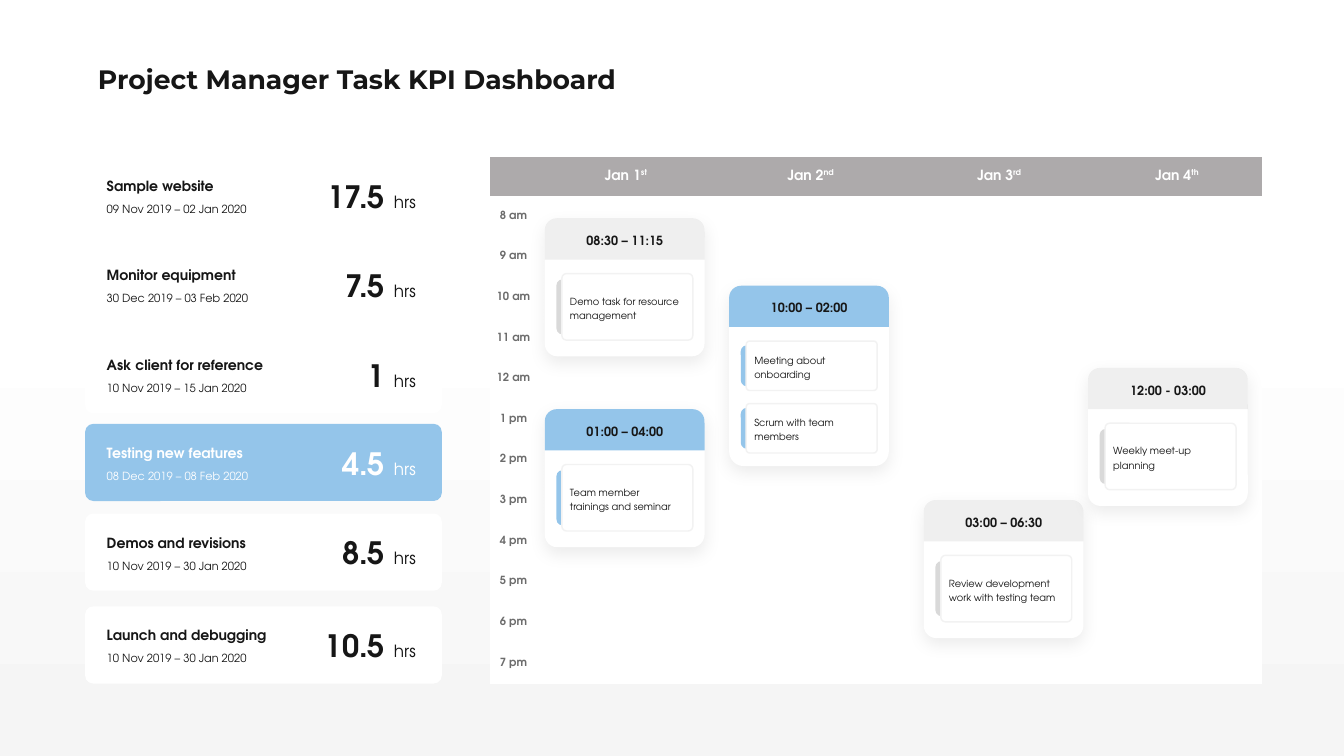
from dataclasses import dataclass

from lxml import etree
from pptx import Presentation
from pptx.dml.color import RGBColor
from pptx.enum.shapes import MSO_SHAPE
from pptx.enum.text import MSO_ANCHOR, MSO_AUTO_SIZE, PP_ALIGN
from pptx.oxml.ns import qn
from pptx.util import Cm, Pt

RECT, ROUND = MSO_SHAPE.RECTANGLE, MSO_SHAPE.ROUNDED_RECTANGLE
ROUND_TOP = MSO_SHAPE.ROUND_2_SAME_RECTANGLE
LEFT, CENTER, RIGHT = PP_ALIGN.LEFT, PP_ALIGN.CENTER, PP_ALIGN.RIGHT
TOP, MIDDLE = MSO_ANCHOR.TOP, MSO_ANCHOR.MIDDLE
GROW = MSO_AUTO_SIZE.SHAPE_TO_FIT_TEXT

FONT, TITLE_FONT = "TeX Gyre Adventor", "Montserrat"
INK, WHITE, BLUE, GREY = "161616", "FFFFFF", "94C5EA", "D9D9D9"
HEADER_GREY, HOUR_GREY, OUTLINE, SHADE = "ADAAAB", "6C6C6C", "F2F2F2", "666666"
NO_GRID_STYLE = "{2D5ABB26-0587-4C30-8999-92F81FD0307C}"

# Event card sizes by number of tasks, in cm
EVENT_H = {1: 6.96, 2: 9.09}
BOX_H = {1: 3.35, 2: 2.49}
BOX_STEP = 3.15


@dataclass
class Task:
    top: float
    name: str
    dates: str
    hours: str
    active: bool = False


@dataclass
class Event:
    left: float
    top: float
    time: str
    tasks: list[str]
    active: bool = False
    text_w: float = 6.27


TASKS = [
    Task(7.9, "Sample website", "09 Nov 2019 – 02 Jan 2020", "17.5"),
    Task(12.42, "Monitor equipment", "30 Dec 2019 – 03 Feb 2020", "7.5"),
    Task(16.94, "Ask client for reference", "10 Nov 2019 – 15 Jan 2020", "1"),
    Task(21.36, "Testing new features", "08 Dec 2019 – 08 Feb 2020", "4.5", True),
    Task(25.88, "Demos and revisions", "10 Nov 2019 – 30 Jan 2020", "8.5"),
    Task(30.56, "Launch and debugging", "10 Nov 2019 – 30 Jan 2020", "10.5"),
]
EVENTS = [
    Event(27.46, 11, "08:30 – 11:15", ["Demo task for resource management"]),
    Event(27.46, 20.62, "01:00 – 04:00", ["Team member trainings and seminar"], True, 5.64),
    Event(36.75, 14.4, "10:00 – 02:00",
          ["Meeting about onboarding", "Scrum with team members"], True),
    Event(46.56, 25.2, "03:00 – 06:30", ["Review development work with testing team"]),
    Event(54.84, 18.54, "12:00 - 03:00", ["Weekly meet-up planning"]),
]
DAYS = [("Jan 1", "st"), ("Jan 2", "nd"), ("Jan 3", "rd"), ("Jan 4", "th")]
HOURS = [f"{h} am" for h in range(8, 13)] + [f"{h} pm" for h in range(1, 8)]
COL_WIDTHS = [2.34, 8.99, 9.63, 9.37, 8.56]
HEADER_H, ROW_H = 1.96, 2.05


def rgb(color: str) -> RGBColor:
    return RGBColor.from_string(color)


def add_run(p, text: str, size: float, color: str = INK, bold: bool = False,
            font: str = FONT, raised: bool = False) -> None:
    r = p.add_run()
    r.text = text
    r.font.size, r.font.bold, r.font.name = Pt(size), bold, font
    r.font.color.rgb = rgb(color)
    if raised:
        r._r.get_or_add_rPr().set("baseline", "30000")


def add_box(shapes, kind, left: float, top: float, width: float, height: float,
            fill: str, adjust: tuple = (), line: str = ""):
    sp = shapes.add_shape(kind, Cm(left), Cm(top), Cm(width), Cm(height))
    sp.shadow.inherit = False
    sp.fill.solid()
    sp.fill.fore_color.rgb = rgb(fill)
    for i, value in enumerate(adjust):
        sp.adjustments[i] = value
    if line:
        sp.line.color.rgb = rgb(line)
        sp.line.width = Pt(2)
    else:
        sp.line.fill.background()
    return sp


def add_text(shapes, left: float, top: float, width: float, height: float,
             align=LEFT, spacing: float = 1.0):
    tf = shapes.add_textbox(Cm(left), Cm(top), Cm(width), Cm(height)).text_frame
    tf.word_wrap = True
    tf.auto_size = GROW
    p = tf.paragraphs[0]
    p.alignment, p.line_spacing = align, spacing
    return p


def set_alpha(color_parent, percent: int) -> None:
    clr = color_parent.find(".//" + qn("a:srgbClr"))
    etree.SubElement(clr, qn("a:alpha")).set("val", str(percent * 1000))


def add_soft_shadow(sp) -> None:
    effects = sp._element.spPr.find(qn("a:effectLst"))
    shadow = etree.SubElement(effects, qn("a:outerShdw"), blurRad=str(Pt(25)),
                              dist=str(Pt(9)), dir="5400000", algn="t", rotWithShape="0")
    etree.SubElement(shadow, qn("a:srgbClr"), val="000000")
    set_alpha(shadow, 8)


def add_title(s) -> None:
    sp = s.shapes.title
    sp.left, sp.top, sp.width, sp.height = Cm(4.93), Cm(3.15), Cm(43.54), Cm(1.63)
    tf = sp.text_frame
    tf.margin_left = tf.margin_right = tf.margin_top = tf.margin_bottom = 0
    tf.vertical_anchor, tf.word_wrap, tf.auto_size = TOP, True, GROW
    p = tf.paragraphs[0]
    p.alignment, p.line_spacing = LEFT, 1.0
    add_run(p, "Project Manager Task KPI Dashboard", 38, bold=True, font=TITLE_FONT)


def add_calendar(s) -> None:
    rows, cols = len(HOURS) + 1, len(COL_WIDTHS)
    table = s.shapes.add_table(rows, cols, Cm(24.71), Cm(7.9), Cm(sum(COL_WIDTHS)),
                               Cm(HEADER_H + ROW_H * len(HOURS))).table
    table.horz_banding = False
    table._tbl.tblPr.find(qn("a:tableStyleId")).text = NO_GRID_STYLE
    for col, width in zip(table.columns, COL_WIDTHS):
        col.width = Cm(width)
    for i, row in enumerate(table.rows):
        row.height = Cm(ROW_H if i else HEADER_H)
        for cell in row.cells:
            cell.fill.solid()
            cell.fill.fore_color.rgb = rgb(WHITE if i else HEADER_GREY)
            cell.vertical_anchor = MIDDLE
            cell.margin_left = cell.margin_right = Cm(0.2)
            cell.margin_top = cell.margin_bottom = 0
            cell.text_frame.paragraphs[0].alignment = CENTER
    for j, (day, suffix) in enumerate(DAYS, 1):
        p = table.cell(0, j).text_frame.paragraphs[0]
        add_run(p, day, 20, WHITE, True)
        add_run(p, suffix, 20, WHITE, True, raised=True)
    for i, hour in enumerate(HOURS, 1):
        add_run(table.cell(i, 0).text_frame.paragraphs[0], hour, 16, HOUR_GREY, True)


def add_task(s, task: Task) -> None:
    shapes = s.shapes.add_group_shape().shapes
    ink = WHITE if task.active else INK
    add_box(shapes, ROUND, 4.29, task.top, 17.98, 3.89,
            BLUE if task.active else WHITE, (0.106,))
    add_run(add_text(shapes, 5.13, task.top + 0.91, 10.31, 1.12), task.name, 20, ink, True)
    p = add_text(shapes, 15.6, task.top + 0.91, 5.61, 2.08, RIGHT)
    add_run(p, task.hours + " ", 44, ink, True)
    add_run(p, "hrs", 24, ink)
    add_run(add_text(shapes, 5.13, task.top + 2.16, 10.31, 0.94), task.dates, 16, ink)


def add_event(s, event: Event) -> None:
    shapes = s.shapes.add_group_shape().shapes
    x, y, count = event.left, event.top, len(event.tasks)
    add_soft_shadow(add_box(shapes, ROUND, x, y, 8.05, EVENT_H[count], WHITE, (0.091,)))
    header = add_box(shapes, ROUND_TOP, x, y, 8.05, 2.08,
                     BLUE if event.active else SHADE, (0.29, 0))
    if not event.active:
        set_alpha(header._element.spPr, 10)
    p = add_text(shapes, x + 1.42, y + 0.38, 5.23, 1.14, CENTER, 1.3)
    add_run(p, event.time, 18, bold=True)
    # Task boxes, each with a coloured tab behind its left edge
    box_h = BOX_H[count]
    tab_w, tab_h = 0.83 * box_h, 0.89
    for i, text in enumerate(event.tasks):
        left, top = x + 0.86, y + 2.79 + i * BOX_STEP
        tab = add_box(shapes, ROUND, left + 0.17 - tab_w / 2, top + (box_h - tab_h) / 2,
                      tab_w, tab_h, BLUE if event.active else GREY, (0.344,))
        tab.rotation = 90
        add_box(shapes, ROUND, left, top, 6.6, box_h, WHITE, (0.068,), OUTLINE)
        p = add_text(shapes, left + 0.16, top + (box_h - 1.63) / 2, event.text_w, 1.63,
                     spacing=1.2)
        add_run(p, text, 14)


def main() -> None:
    prs = Presentation()
    prs.slide_width, prs.slide_height = Cm(67.74), Cm(38.1)
    s = prs.slides.add_slide(prs.slide_layouts[5])
    # Background fade
    fade = add_box(s.shapes, RECT, 0, 14.94, 67.74, 23.16, WHITE)
    fade.fill.gradient()
    fade.fill.gradient_angle = 270
    for stop, color in zip(fade.fill.gradient_stops, (WHITE, "F5F5F5")):
        stop.color.rgb = rgb(color)
    add_title(s)
    add_calendar(s)
    for task in TASKS:
        add_task(s, task)
    for event in EVENTS:
        add_event(s, event)
    prs.save("out.pptx")


if __name__ == "__main__":
    main()
